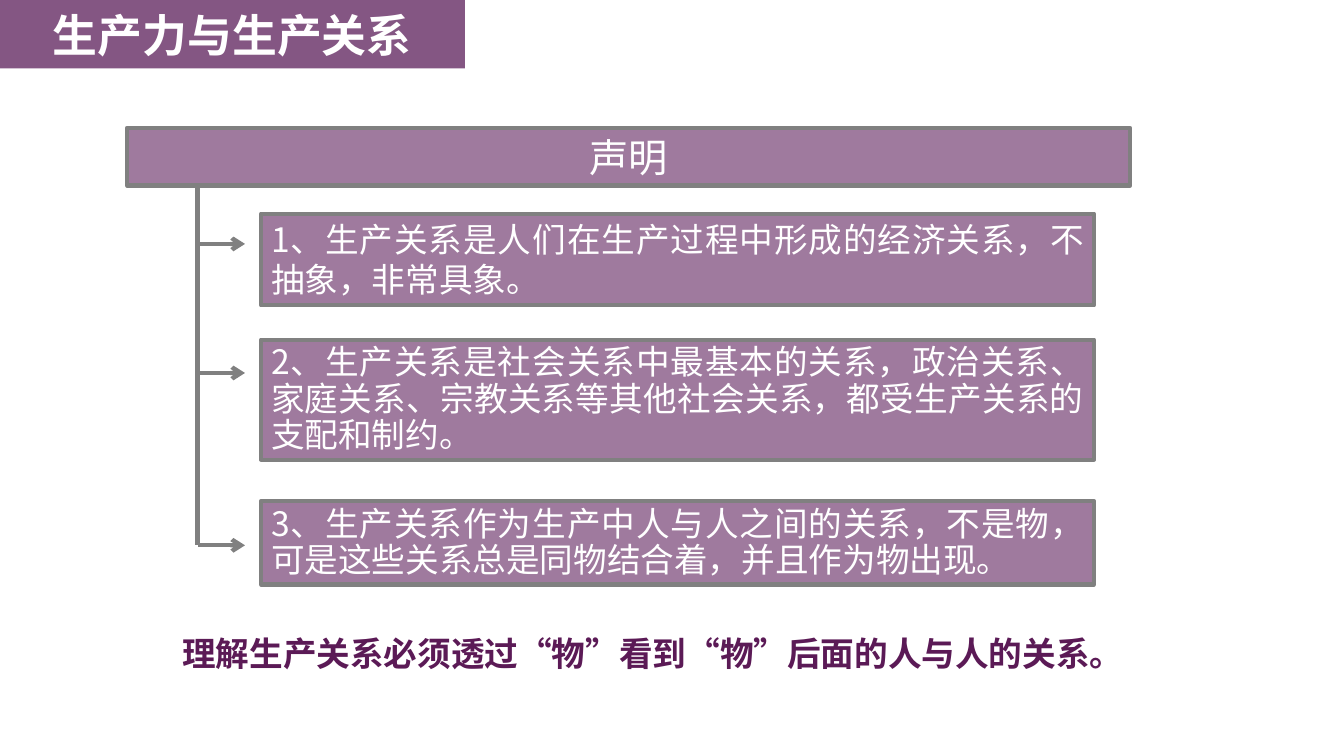
from lxml import etree
from pptx import Presentation
from pptx.dml.color import RGBColor
from pptx.enum.shapes import MSO_CONNECTOR, MSO_SHAPE
from pptx.enum.text import MSO_ANCHOR, MSO_AUTO_SIZE, PP_ALIGN
from pptx.oxml import parse_xml
from pptx.oxml.ns import nsdecls, qn
from pptx.util import Inches, Pt

FONT = "Noto Sans CJK SC"
COLORS = {"purple": "5A1B58", "conclusion": "5B1A56", "gray": "808080", "white": "FFFFFF"}

TITLE = "生产力与生产关系"
HEADING = "声明"
# text, top, height, line pitch in points, arrow height on the slide
STATEMENTS = [
    ("1、生产关系是人们在生产过程中形成的经济关系，不抽象，非常具象。", 2.12, 0.91, 28.6, 2.42),
    ("2、生产关系是社会关系中最基本的关系，政治关系、家庭关系、宗教关系等其他社会关系，"
     "都受生产关系的支配和制约。", 3.37, 1.19, 26, 3.7),
    ("3、生产关系作为生产中人与人之间的关系，不是物，可是这些关系总是同物结合着，"
     "并且作为物出现。", 4.97, 0.83, 26, 5.41),
]
CONCLUSION = "理解生产关系必须透过“物”看到“物”后面的人与人的关系。"
TRUNK_X, TRUNK_TOP, ARROW_END = 1.96, 1.85, 2.43


def rgb(name):
    return RGBColor.from_string(COLORS[name])


def fill_translucent(shape, opacity):
    """Fill with purple at the given opacity in percent."""
    shape.fill.solid()
    shape.fill.fore_color.rgb = rgb("purple")
    color = shape.fill._xPr.find(qn("a:solidFill"))[0]
    etree.SubElement(color, qn("a:alpha"), val=str(opacity * 1000))


def write_text(shape, text, size, align, color="white", bold=False, pitch=None):
    frame = shape.text_frame
    frame.word_wrap = True
    frame.auto_size = MSO_AUTO_SIZE.NONE
    frame.vertical_anchor = MSO_ANCHOR.MIDDLE
    paragraph = frame.paragraphs[0]
    paragraph.alignment = align
    paragraph.space_before = Pt(0)
    if pitch:
        paragraph.line_spacing = Pt(pitch)
    run = paragraph.add_run()
    run.text = text
    run.font.size = Pt(size)
    run.font.bold = bold
    run.font.color.rgb = rgb(color)
    run.font.name = FONT
    etree.SubElement(run.font._element, qn("a:ea"), typeface=FONT)


def format_title(title):
    title.left, title.top, title.width, title.height = map(Inches, (0, 0, 4.61, 0.68))
    title._element.spPr.append(
        parse_xml(f'<a:prstGeom {nsdecls("a")} prst="homePlate"><a:avLst/></a:prstGeom>'))
    fill_translucent(title, 74)
    write_text(title, TITLE, 32, PP_ALIGN.CENTER, bold=True)


def add_box(slide, left, top, width, height):
    box = slide.shapes.add_shape(MSO_SHAPE.RECTANGLE, *map(Inches, (left, top, width, height)))
    box.shadow.inherit = False
    fill_translucent(box, 58)
    box.line.color.rgb = rgb("gray")
    box.line.width = Pt(3)
    return box


def add_line(slide, start, end, arrow=False):
    line = slide.shapes.add_connector(MSO_CONNECTOR.STRAIGHT, *map(Inches, start + end))
    line.line.color.rgb = rgb("gray")
    line.line.width = Pt(3)
    if arrow:
        etree.SubElement(line.line._get_or_add_ln(), qn("a:tailEnd"), type="arrow")
    etree.SubElement(line._element.spPr, qn("a:effectLst"))


def main():
    presentation = Presentation()
    presentation.slide_width, presentation.slide_height = Inches(13.33), Inches(7.5)
    slide = presentation.slides.add_slide(presentation.slide_layouts[5])
    format_title(slide.shapes.title)

    heading = add_box(slide, 1.26, 1.27, 9.95, 0.57)
    write_text(heading, HEADING, 28, PP_ALIGN.CENTER, pitch=33.5)

    add_line(slide, (TRUNK_X, TRUNK_TOP), (TRUNK_X, STATEMENTS[-1][-1]))
    for text, top, height, pitch, arrow_y in STATEMENTS:
        box = add_box(slide, 2.59, top, 8.26, height)
        write_text(box, text, 24, PP_ALIGN.JUSTIFY, pitch=pitch)
        add_line(slide, (TRUNK_X, arrow_y), (ARROW_END, arrow_y), arrow=True)

    conclusion = slide.shapes.add_textbox(*map(Inches, (1.71, 6.27, 9.74, 0.46)))
    write_text(conclusion, CONCLUSION, 24, PP_ALIGN.JUSTIFY, "conclusion", bold=True, pitch=26)
    presentation.save("out.pptx")


if __name__ == "__main__":
    main()
